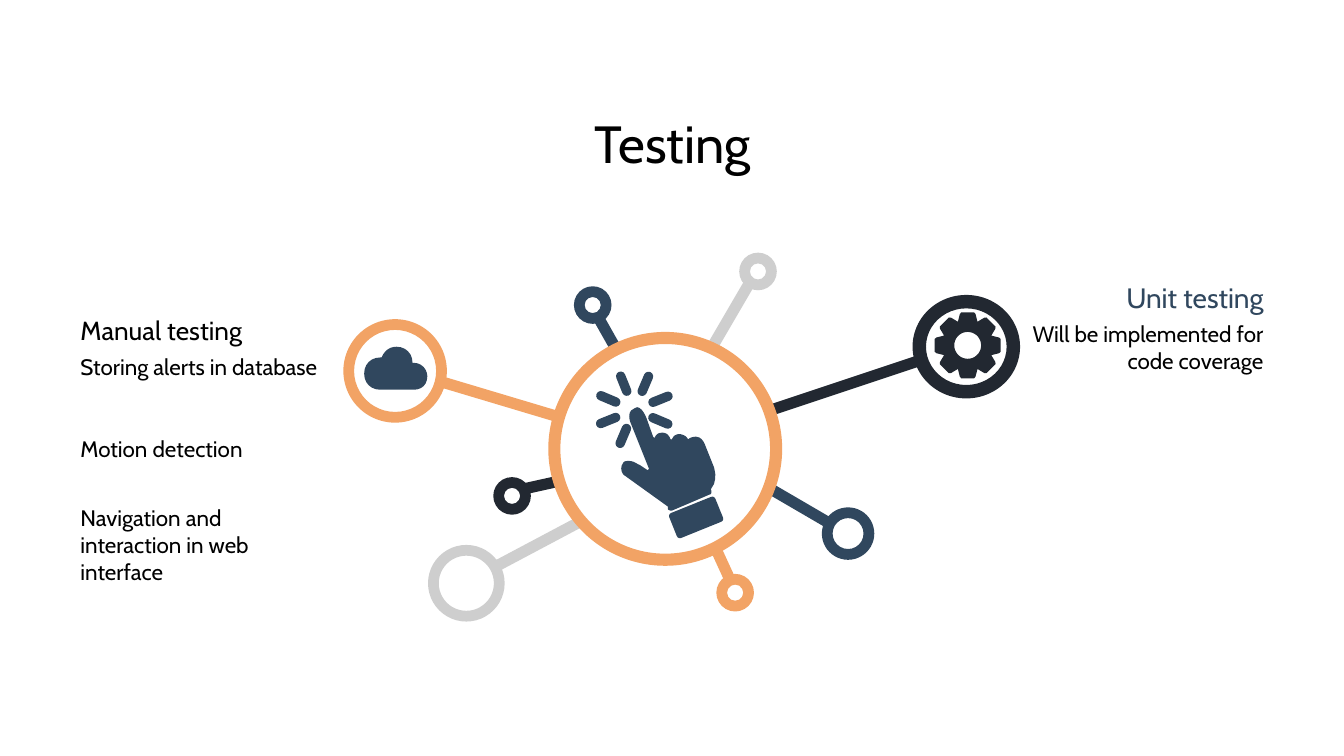
import math
from dataclasses import dataclass

import lxml.etree
import pptx
import pptx.dml.color
import pptx.enum.shapes
import pptx.enum.text
import pptx.oxml.ns
import pptx.util

Inches = pptx.util.Inches
Shape = pptx.enum.shapes.MSO_SHAPE
Align = pptx.enum.text.PP_ALIGN
Anchor = pptx.enum.text.MSO_ANCHOR
Point = tuple[float, float]


@dataclass(frozen=True)
class Theme:
    font: str = "Cabin"
    black: str = "000000"
    navy: str = "30475E"
    dark: str = "222831"
    orange: str = "F2A365"
    gray: str = "CECECE"
    title: int = 28
    unit: int = 15
    head: int = 14
    body: int = 12
    spoke: int = 6


@dataclass(frozen=True)
class Node:
    """A ring with the spoke that ties it to the hub."""
    color: str
    mid: Point
    size: Point
    band: float
    start: Point
    end: Point


@dataclass(frozen=True)
class Note:
    text: str
    box: tuple[float, float, float, float]
    size: int
    color: str
    align: Align
    anchor: Anchor


T = Theme()
SMALL = (0.28, 0.28)

NODES = [
    Node(T.navy, (6.31, 3.97), (0.39, 0.39), 0.08, (5.72, 3.63), (6.2, 3.91)),
    Node(T.dark, (7.19, 2.58), (0.8, 0.77), 0.1, (5.71, 3.06), (6.82, 2.69)),
    Node(T.orange, (2.94, 2.76), (0.77, 0.77), 0.08, (4.15, 3.1), (3.28, 2.84)),
    Node(T.gray, (3.47, 4.34), (0.57, 0.57), 0.08, (4.32, 3.88), (3.68, 4.22)),
    Node(T.dark, (3.81, 3.69), SMALL, 0.08, (4.16, 3.58), (3.89, 3.64)),
    Node(T.orange, (5.47, 4.41), SMALL, 0.08, (5.32, 4.07), (5.43, 4.31)),
    Node(T.navy, (4.41, 2.27), SMALL, 0.08, (4.58, 2.59), (4.45, 2.36)),
    Node(T.gray, (5.64, 2.02), SMALL, 0.08, (5.3, 2.58), (5.58, 2.1)),
]

NOTES = [
    Note("Testing", (0.78, 0.8, 8.45, 0.53), T.title, T.black, Align.CENTER, Anchor.MIDDLE),
    Note("Manual testing", (0.5, 2.29, 1.99, 0.33), T.head, T.black, Align.LEFT, Anchor.MIDDLE),
    Note("Unit testing", (7.51, 2.05, 1.99, 0.33), T.unit, T.navy, Align.RIGHT, Anchor.MIDDLE),
    Note("Will be implemented for code coverage", (7.51, 2.28, 1.99, 0.58),
         T.body, T.black, Align.RIGHT, Anchor.TOP),
] + [
    Note(text, (0.5, top, 1.99, 0.58), T.body, T.black, Align.LEFT, Anchor.TOP)
    for text, top in [("Storing alerts in database", 2.53), ("Motion detection", 3.14),
                      ("Navigation and interaction in web interface", 3.65)]
]

# Outlines: a pair is a straight step, six numbers are a cubic curve
HAND = [
    (4.74, 3.03), (4.72, 3.04), (4.66, 3.06, 4.69, 3.14, 4.69, 3.14), (4.83, 3.49),
    (4.82, 3.5), (4.76, 3.46), (4.75, 3.46, 4.72, 3.43, 4.68, 3.43),
    (4.67, 3.43, 4.65, 3.43, 4.64, 3.44), (4.6, 3.49, 4.64, 3.54, 4.65, 3.54),
    (4.97, 3.77), (4.97, 3.79), (4.98, 3.8, 4.99, 3.8, 5, 3.8), (5.28, 3.68),
    (5.29, 3.68, 5.3, 3.67, 5.29, 3.64), (5.35, 3.57, 5.31, 3.47, 5.31, 3.47),
    (5.25, 3.32), (5.25, 3.32, 5.23, 3.25, 5.18, 3.25),
    (5.15, 3.25, 5.13, 3.26, 5.12, 3.27), (5.11, 3.25, 5.1, 3.24, 5.06, 3.23),
    (5.02, 3.23, 5.01, 3.25, 5, 3.27), (4.99, 3.27), (4.98, 3.24, 4.96, 3.22, 4.93, 3.22),
    (4.89, 3.22, 4.88, 3.24, 4.87, 3.26), (4.86, 3.25), (4.81, 3.11),
    (4.81, 3.11, 4.78, 3.03, 4.74, 3.03),
]
CLOUD = [
    (2.95, 2.58), (2.9, 2.58, 2.86, 2.61, 2.84, 2.66), (2.83, 2.66),
    (2.76, 2.66, 2.71, 2.71, 2.71, 2.78), (2.71, 2.85, 2.76, 2.9, 2.83, 2.9), (3.08, 2.9),
    (3.14, 2.9, 3.18, 2.86, 3.18, 2.8), (3.18, 2.75, 3.14, 2.7, 3.08, 2.7), (3.07, 2.7),
    (3.07, 2.63, 3.02, 2.58, 2.95, 2.58),
]


def tint(name: str) -> pptx.dml.color.RGBColor:
    return pptx.dml.color.RGBColor.from_string(name)


def paint(shape, color: str) -> None:
    shape.shadow.inherit = False
    shape.fill.solid()
    shape.fill.fore_color.rgb = tint(color)
    shape.line.fill.background()


def write(slide, text: str, *, box, size: int, color: str, align: Align, anchor: Anchor) -> None:
    frame = slide.shapes.add_textbox(*map(Inches, box)).text_frame
    frame.word_wrap = True
    frame.vertical_anchor = anchor
    frame.margin_left = frame.margin_right = Inches(0.1)
    frame.margin_top = frame.margin_bottom = Inches(0.1)
    line = frame.paragraphs[0]
    line.alignment = align
    run = line.add_run()
    run.text = text
    run.font.name = T.font
    run.font.size = pptx.util.Pt(size)
    run.font.color.rgb = tint(color)


def place(slide, kind: Shape, mid: Point, size: Point, color: str, *,
          adjust: float, turn: float = 0) -> None:
    left, top = (c - s / 2 for c, s in zip(mid, size))
    shape = slide.shapes.add_shape(kind, *map(Inches, (left, top, *size)))
    shape.adjustments[0] = adjust
    shape.rotation = turn
    paint(shape, color)


def ring(slide, mid: Point, size: Point, band: float, color: str) -> None:
    place(slide, Shape.DONUT, mid, size, color, adjust=band / min(size))


def spoke(slide, start: Point, end: Point, color: str) -> None:
    line = slide.shapes.add_connector(
        pptx.enum.shapes.MSO_CONNECTOR.STRAIGHT, *map(Inches, (*start, *end)))
    line.line.width = pptx.util.Pt(T.spoke)
    line.line.color.rgb = tint(color)
    lxml.etree.SubElement(line._element.spPr, pptx.oxml.ns.qn("a:effectLst"))


def trace(steps: list[tuple], parts: int = 6) -> list[Point]:
    """Turn straight and curved steps into a run of points."""
    dots = [steps[0]]
    for step in steps[1:]:
        if len(step) == 2:
            dots.append(step)
            continue
        ends = (dots[-1], step[:2], step[2:4], step[4:])
        for i in range(1, parts + 1):
            t = i / parts
            mix = ((1 - t) ** 3, 3 * t * (1 - t) ** 2, 3 * t * t * (1 - t), t ** 3)
            dots.append(tuple(sum(m * p[k] for m, p in zip(mix, ends)) for k in (0, 1)))
    return dots


def outline(slide, loops: list[list[Point]], color: str) -> None:
    loops = [[(Inches(x), Inches(y)) for x, y in loop] for loop in loops]
    form = slide.shapes.build_freeform(*loops[0][0], scale=1.0)
    for i, loop in enumerate(loops):
        if i:
            form.move_to(*loop[0])
        form.add_line_segments(loop[1:], close=True)
    paint(form.convert_to_shape(), color)


def polar(mid: Point, reach: float, angle: float) -> Point:
    turn = math.radians(angle)
    return mid[0] + reach * math.cos(turn), mid[1] + reach * math.sin(turn)


def gear(slide, mid: Point, color: str) -> None:
    tooth = [(-14, 0.24), (-11, 0.25), (11, 0.25), (14, 0.24), (22.5, 0.19)]
    rim = [polar(mid, reach, 45 * k + a) for k in range(8) for a, reach in tooth]
    hole = [polar(mid, 0.1, -a) for a in range(0, 360, 10)]
    outline(slide, [rim, hole], color)


def main() -> None:
    # A 16:9 slide
    deck = pptx.Presentation()
    deck.slide_width = Inches(10)
    deck.slide_height = Inches(10 * 9 / 16)
    slide = deck.slides.add_slide(deck.slide_layouts[6])

    # Text
    for n in NOTES:
        write(slide, n.text, box=n.box, size=n.size, color=n.color, align=n.align, anchor=n.anchor)

    # Network around the hub
    for n in NODES:
        ring(slide, n.mid, n.size, n.band, n.color)
        spoke(slide, n.start, n.end, n.color)
    ring(slide, (4.95, 3.34), (1.74, 1.74), 0.09, T.orange)

    # Gear and cloud icons
    gear(slide, (7.2, 2.57), T.dark)
    outline(slide, [trace(CLOUD)], T.navy)

    # Pointing hand, its cuff, and rays on all sides but the finger's
    outline(slide, [trace(HAND)], T.navy)
    place(slide, Shape.ROUNDED_RECTANGLE, (5.18, 3.85), (0.37, 0.2), T.navy, adjust=0.12, turn=-22)
    for k in range(2, 9):
        angle = 23 + 45 * k
        place(slide, Shape.ROUNDED_RECTANGLE, polar((4.72, 3.05), 0.21, angle), (0.19, 0.07),
              T.navy, adjust=0.5, turn=angle)

    deck.save("out.pptx")


if __name__ == "__main__":
    main()
